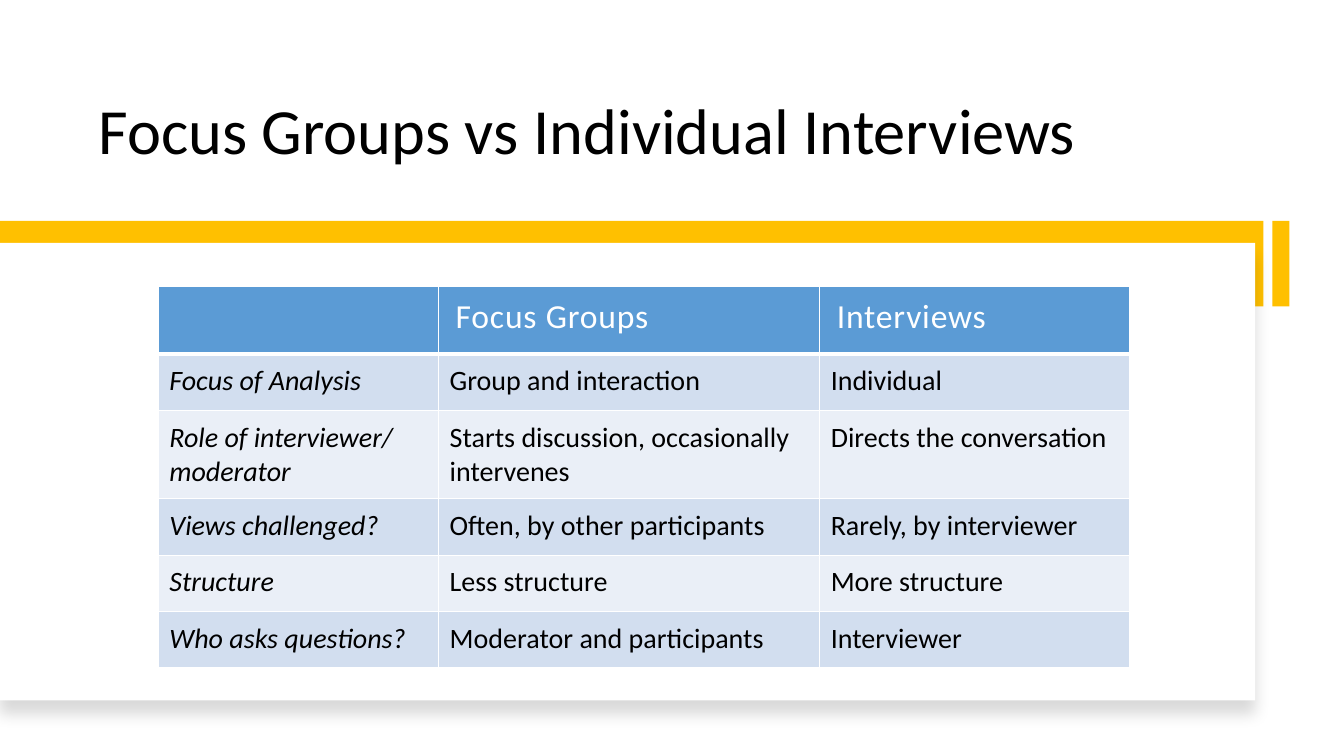
"""Build a slide comparing focus groups with individual interviews."""
import pptx
import pptx.util
import pptx.dml.color
import pptx.enum.shapes
import pptx.enum.text
import pptx.oxml
import pptx.oxml.ns
from pptx.util import Inches

TITLE = "Focus Groups vs Individual Interviews"
ROWS = [
    ("", "Focus Groups", "Interviews"),
    ("Focus of Analysis", "Group and interaction", "Individual"),
    ("Role of interviewer/ moderator", "Starts discussion, occasionally intervenes",
     "Directs the conversation"),
    ("Views challenged?", "Often, by other participants", "Rarely, by interviewer"),
    ("Structure", "Less structure", "More structure"),
    ("Who asks questions?", "Moderator and participants", "Interviewer"),
]
COL_WIDTHS = (2.78, 3.78, 3.07)
ROW_HEIGHTS = (0.67, 0.56, 0.86, 0.56, 0.56, 0.56)
COLORS = {"accent": "FFC000", "panel": "FFFFFF", "header": "5B9BD5",
          "odd": "D2DEEF", "even": "EAEFF7", "text": "000000", "light": "FFFFFF"}
BLOCKS = [
    ((12.62, 2.19, 0.17, 0.85), "accent"),
    ((0, 2.19, 12.53, 0.85), "accent"),
    ((0, 2.41, 12.45, 4.54), "panel"),
]
TITLE_FONT = {"size": 46, "color": "text"}
HEADER_FONT = {"size": 24, "color": "light"}
BODY_FONT = {"size": 20, "color": "text"}
HEADER_INSETS = (0.17, 0.1, 0.17, 0.17)
BODY_INSETS = (0.11, 0.1, 0.11, 0.11)
SIDES = ("left", "top", "right", "bottom")
NS = pptx.oxml.ns.nsdecls("a")


def rgb(name):
    """Return the named colour."""
    return pptx.dml.color.RGBColor.from_string(COLORS[name])


def write(tf, text, size, color, italic=False):
    """Put one formatted run in a text frame."""
    r = tf.paragraphs[0].add_run()
    r.text = text
    values = {"name": "Calibri", "size": pptx.util.Pt(size), "italic": italic}
    for key, value in values.items():
        setattr(r.font, key, value)
    r.font.color.rgb = rgb(color)
    return r


def add_block(s, box, color):
    """Add a plain filled rectangle."""
    kind = pptx.enum.shapes.MSO_SHAPE.RECTANGLE
    sp = s.shapes.add_shape(kind, *map(Inches, box))
    sp.shadow.inherit = False
    sp.fill.solid()
    sp.fill.fore_color.rgb = rgb(color)
    sp.line.fill.background()
    return sp


def add_shadow(sp):
    """Give a shape a soft shadow below it."""
    effects = sp.element.spPr.find(pptx.oxml.ns.qn("a:effectLst"))
    effects.append(pptx.oxml.parse_xml(
        f'<a:outerShdw {NS} blurRad="{pptx.util.Pt(11)}" dist="{pptx.util.Pt(10)}" '
        f'dir="5400000" algn="t" rotWithShape="0"><a:srgbClr val="{COLORS["text"]}">'
        '<a:alpha val="15000"/></a:srgbClr></a:outerShdw>'))


def add_borders(cell, widths):
    """Draw white cell borders of the given widths in points."""
    tcPr = cell._tc.get_or_add_tcPr()
    for side, width in widths.items():
        tcPr.append(pptx.oxml.parse_xml(
            f'<a:ln{side} {NS} w="{pptx.util.Pt(width)}"><a:solidFill>'
            f'<a:srgbClr val="{COLORS["light"]}"/></a:solidFill></a:ln{side}>'))


def fill_cell(cell, text, row, col):
    """Format and fill one table cell."""
    header = row == 0
    add_borders(cell, {"L": 1, "R": 1, "T": 3 if row == 1 else 1, "B": 3 if header else 1})
    cell.fill.solid()
    cell.fill.fore_color.rgb = rgb("header" if header else "odd" if row % 2 else "even")
    for side, inset in zip(SIDES, HEADER_INSETS if header else BODY_INSETS):
        setattr(cell, f"margin_{side}", Inches(inset))
    anchors = pptx.enum.text.MSO_ANCHOR
    cell.vertical_anchor = anchors.MIDDLE if header else anchors.TOP
    if text:
        font = HEADER_FONT if header else BODY_FONT
        r = write(cell.text_frame, text, italic=not header and col == 0, **font)
        if header:
            r.font._element.set("spc", "60")


def add_comparison(s):
    """Add the comparison table."""
    box = (1.57, 2.84, sum(COL_WIDTHS), sum(ROW_HEIGHTS))
    table = s.shapes.add_table(len(ROWS), len(COL_WIDTHS), *map(Inches, box)).table
    for column, width in zip(table.columns, COL_WIDTHS):
        column.width = Inches(width)
    for row, height in zip(table.rows, ROW_HEIGHTS):
        row.height = Inches(height)
    for i, texts in enumerate(ROWS):
        for j, text in enumerate(texts):
            fill_cell(table.cell(i, j), text, i, j)


def main():
    """Build and save the slide."""
    prs = pptx.Presentation()
    prs.slide_width, prs.slide_height = Inches(13.33), Inches(7.5)
    s = prs.slides.add_slide(prs.slide_layouts[6])
    tf = s.shapes.add_textbox(*map(Inches, (0.88, 0.42, 10.1, 1.3))).text_frame
    tf.word_wrap = True
    tf.vertical_anchor = pptx.enum.text.MSO_ANCHOR.BOTTOM
    tf.paragraphs[0].line_spacing = 0.9
    write(tf, TITLE, **TITLE_FONT)
    blocks = [add_block(s, box, color) for box, color in BLOCKS]
    add_shadow(blocks[-1])
    add_comparison(s)
    prs.save("out.pptx")


if __name__ == "__main__":
    main()
